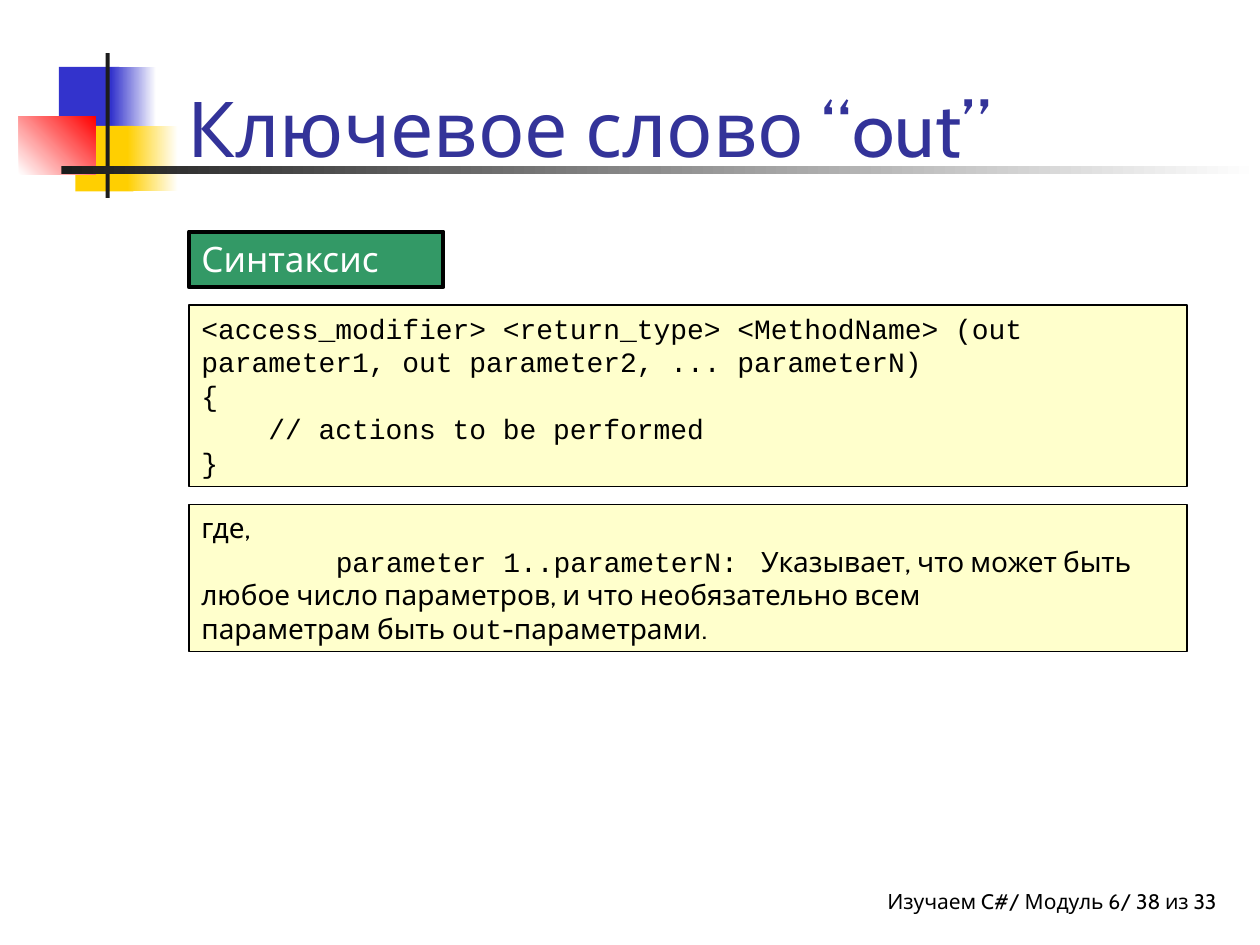
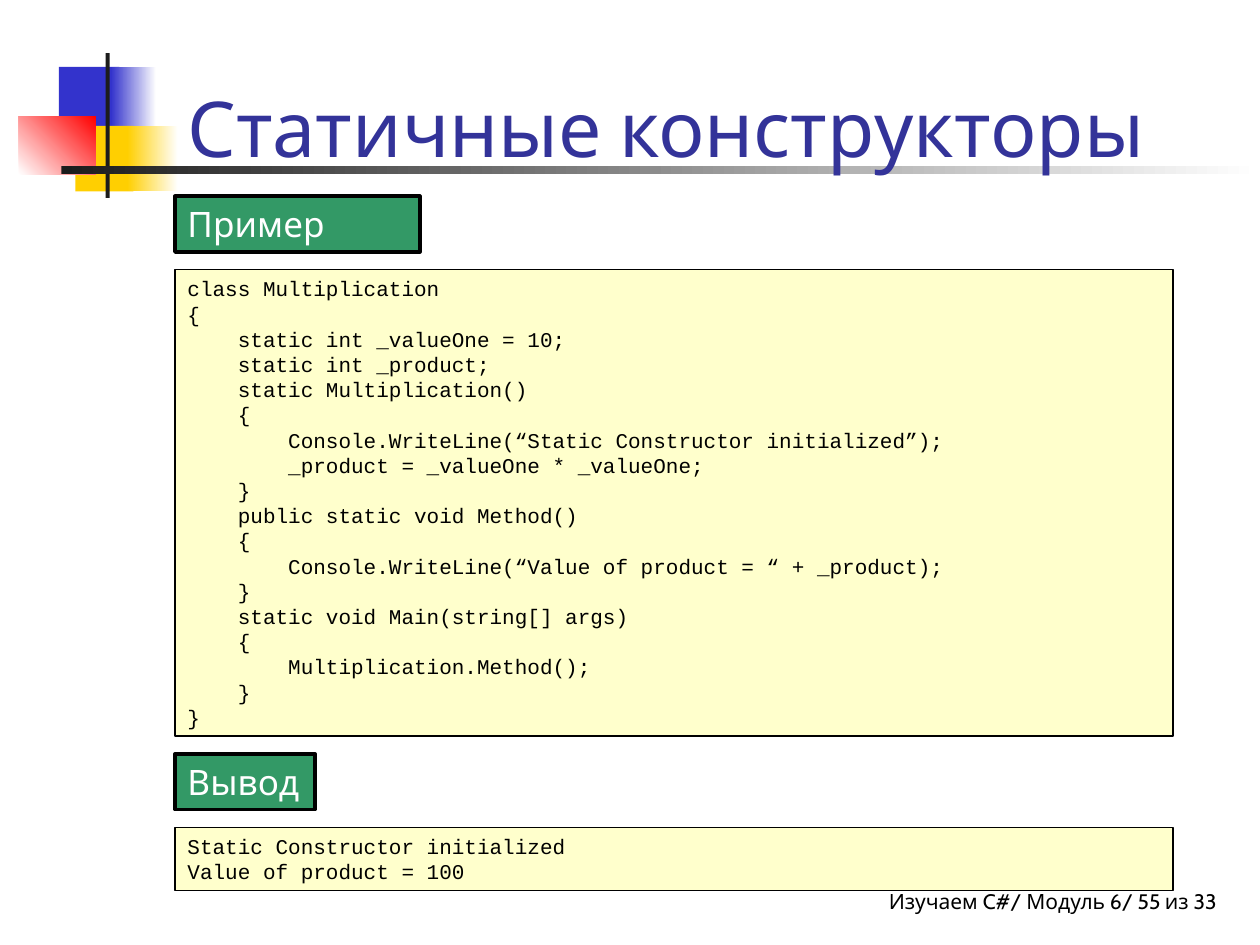
from lxml.etree import SubElement
from pptx import Presentation
from pptx.dml.color import RGBColor
from pptx.enum.shapes import MSO_SHAPE
from pptx.enum.text import MSO_ANCHOR, MSO_AUTO_SIZE, PP_ALIGN
from pptx.oxml.ns import qn
from pptx.util import Cm, Pt

SYNTAX = """<access_modifier> <return_type> <MethodName> (out parameter1, out parameter2, ... parameterN)
{
    // actions to be performed
}"""

EXAMPLE = """class Multiplication
{
    static int _valueOne = 10;
    static int _product;
    static Multiplication()
    {
        Console.WriteLine(“Static Constructor initialized”);
        _product = _valueOne * _valueOne;
    }
    public static void Method()
    {
        Console.WriteLine(“Value of product = “ + _product);
    }
    static void Main(string[] args)
    {
        Multiplication.Method();
    }
}"""

OUTPUT = """Static Constructor initialized
Value of product = 100"""

NOTE = [
    [("где,", "Cabin")],
    [
        ("\tparameter 1..parameterN: ", "Courier New"),
        (" Указывает, что может быть \tлюбое число параметров, "
         "и что необязательно всем \tпараметрам быть ", "Cabin"),
        ("out", "Courier New"),
        ("-параметрами.", "Cabin"),
    ],
]


def code(text):
    return [[(line, "Courier New")] for line in text.split("\n")]


def plain(text):
    return [[(text, "Cabin")]]


PANEL_WIDTH = 20.12
SLIDES = [
    {
        "title": "Ключевое слово “out”", "number": 38, "left": 3.81, "top": 4.67,
        "boxes": [
            ("label", plain("Синтаксис"), 5.13, 1.12, 20),
            ("panel", code(SYNTAX), PANEL_WIDTH, 3.66, 16),
            ("panel", NOTE, PANEL_WIDTH, 2.97, 16),
        ],
    },
    {
        "title": "Статичные конструкторы", "number": 55, "left": 3.53, "top": 3.96,
        "boxes": [
            ("label", plain("Пример"), 4.93, 1.12, 20),
            ("panel", code(EXAMPLE), PANEL_WIDTH, 9.4, 12),
            ("label", plain("Вывод"), 2.82, 1.12, 20),
            ("panel", code(OUTPUT), PANEL_WIDTH, 1.27, 12),
        ],
    },
]

COLORS = {
    "white": "FFFFFF", "black": "000000", "title": "333399", "blue": "3333CC",
    "yellow": "FFCF01", "red": "FF0000", "bar": "1C1C1C", "green": "339966", "cream": "FFFFCC",
}
BOX_STYLES = {
    "label": {"fill": "green", "text": "white", "line": 2.25},
    "panel": {"fill": "cream", "text": "black", "line": 0.75},
}
ORNAMENT = [
    ((1.19, 1.35, 1.22, 1.32), ["blue"], 0),
    ((2.24, 1.35, 0.91, 1.32), ["blue", "white"], 0),
    ((1.52, 2.54, 1.17, 1.32), ["yellow"], 0),
    ((2.57, 2.54, 1.02, 1.32), ["yellow", "white"], 0),
    ((0.38, 2.34, 1.55, 1.17), ["white", "red"], 45),
    ((2.13, 1.07, 0.08, 2.92), ["bar"], 0),
    ((1.24, 3.35, 24.16, 0.15), ["bar", "white"], 0),
]
BOX_GAP = 0.36
TAB_STEP = 2.71
TAB_COUNT = 7


def color(name):
    return RGBColor.from_string(COLORS[name])


def apply(target, values):
    for name, value in values.items():
        setattr(target, name, value)


def add_rectangle(slide, place, fills, angle=0):
    shape = slide.shapes.add_shape(MSO_SHAPE.RECTANGLE, *map(Cm, place))
    shape.shadow.inherit = False
    shape.line.fill.background()
    if len(fills) == 1:
        shape.fill.solid()
        shape.fill.fore_color.rgb = color(fills[0])
    else:
        shape.fill.gradient()
        shape.fill.gradient_angle = angle
        for stop, name in zip(shape.fill.gradient_stops, fills):
            stop.color.rgb = color(name)
    return shape


def add_tabs(paragraph):
    tabs = SubElement(paragraph._p.get_or_add_pPr(), qn("a:tabLst"))
    for index in range(1, TAB_COUNT + 1):
        SubElement(tabs, qn("a:tab"), pos=str(Cm(TAB_STEP * index)), algn="l")


def write(shape, paragraphs, size, text_color, alignment=PP_ALIGN.LEFT, **frame_values):
    frame = shape.text_frame
    apply(frame, {"word_wrap": True, "vertical_anchor": MSO_ANCHOR.TOP, **frame_values})
    for index, runs in enumerate(paragraphs):
        paragraph = frame.add_paragraph() if index else frame.paragraphs[0]
        paragraph.alignment = alignment
        if any("\t" in text for text, _ in runs):
            add_tabs(paragraph)
        for text, font_name in runs:
            run = paragraph.add_run()
            run.text = text
            apply(run.font, {"name": font_name, "size": Pt(size)})
            run.font.color.rgb = color(text_color)


def add_frame(slide, title, number):
    footer = slide.shapes.add_textbox(Cm(11.63), Cm(17.78), Cm(12.9), Cm(0.84))
    write(footer, plain(f"Изучаем C#/ Модуль 6/ {number} из 33"), 12, "black",
          PP_ALIGN.RIGHT, margin_right=0, auto_size=MSO_AUTO_SIZE.SHAPE_TO_FIT_TEXT)
    for place, fills, angle in ORNAMENT:
        add_rectangle(slide, place, fills, angle)
    heading = slide.shapes.add_textbox(Cm(3.53), Cm(0.43), Cm(21.64), Cm(3.18))
    write(heading, plain(title), 44, "title", vertical_anchor=MSO_ANCHOR.BOTTOM)


def add_boxes(slide, boxes, left, top):
    for kind, paragraphs, width, height, size in boxes:
        style = BOX_STYLES[kind]
        box = add_rectangle(slide, (left, top, width, height), [style["fill"]])
        box.line.color.rgb = color("black")
        box.line.width = Pt(style["line"])
        write(box, paragraphs, size, style["text"],
              auto_size=MSO_AUTO_SIZE.SHAPE_TO_FIT_TEXT)
        top += height + BOX_GAP


def main():
    presentation = Presentation()
    apply(presentation, {"slide_width": Cm(25.4), "slide_height": Cm(19.05)})
    for content in SLIDES:
        slide = presentation.slides.add_slide(presentation.slide_layouts[6])
        add_frame(slide, content["title"], content["number"])
        add_boxes(slide, content["boxes"], content["left"], content["top"])
    presentation.save("out.pptx")


if __name__ == "__main__":
    main()
